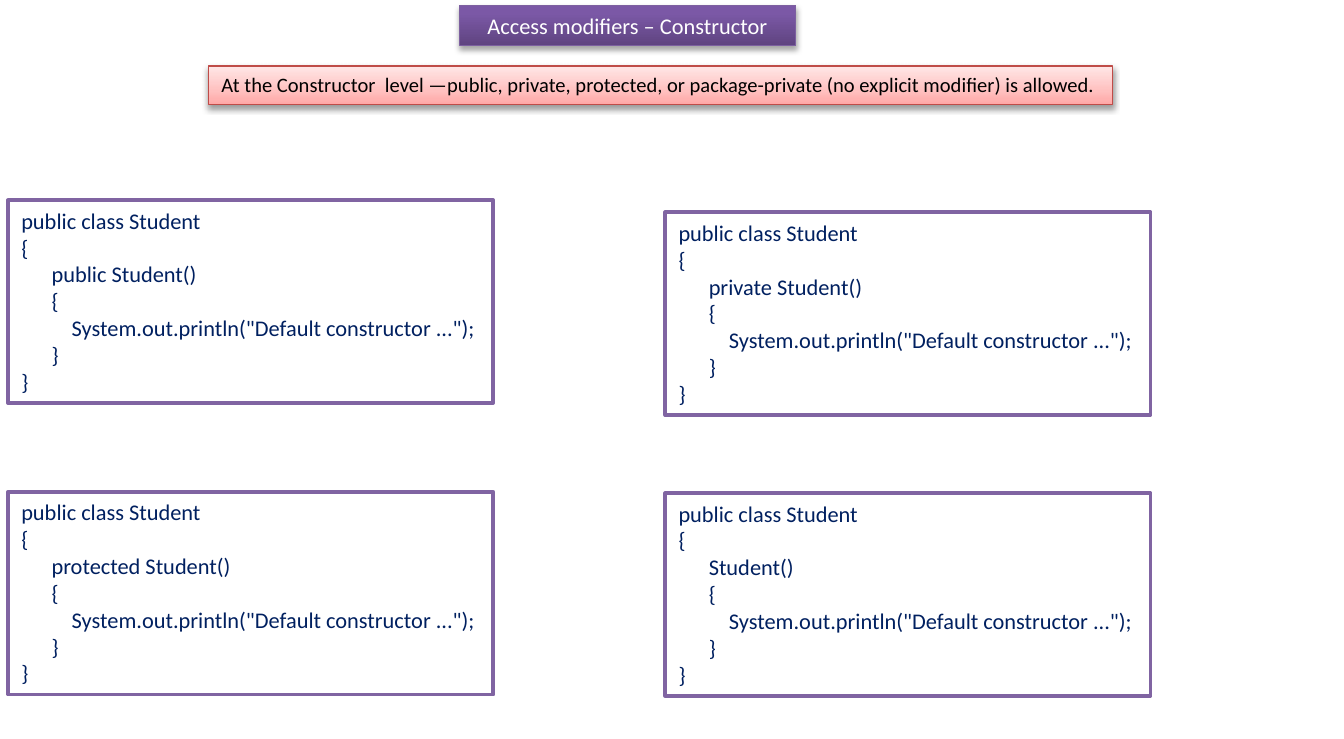
from lxml.etree import SubElement
from pptx import Presentation
from pptx.dml.color import RGBColor
from pptx.enum.shapes import MSO_SHAPE
from pptx.enum.text import MSO_ANCHOR, MSO_AUTO_SIZE, PP_ALIGN
from pptx.oxml.ns import qn
from pptx.util import Inches, Pt

COLORS = {
    "white": "FFFFFF",
    "black": "000000",
    "navy": "002060",
    "purple": "8064A2",
    "title_line": "7D60A0",
    "rule_line": "BF4C48",
}
TITLE_GRADIENT = [(0, "5F4480"), (80, "7B58A6"), (100, "7C57A8")]
RULE_GRADIENT = [(0, "FFA6A5"), (35, "FFC0BF"), (100, "FFE7E7")]
CONSTRUCTORS = [
    ("public Student()", 0.06, 1.49),
    ("private Student()", 4.95, 1.58),
    ("protected Student()", 0.06, 3.66),
    ("Student()", 4.95, 3.67),
]
CODE = """public class Student
{{
      {constructor}
      {{
          System.out.println("Default constructor ...");
      }}
}}"""


class SlideBuilder:
    """Hold the style and the current slide, and add its elements."""

    def __init__(self, slide, font_name="Calibri"):
        self.slide = slide
        self.font_name = font_name

    def color(self, name):
        return RGBColor.from_string(COLORS[name])

    def box(self, text, left, top, width, height, line, line_width, size, text_color):
        shape = self.slide.shapes.add_shape(
            MSO_SHAPE.RECTANGLE, Inches(left), Inches(top), Inches(width), Inches(height)
        )
        shape.shadow.inherit = False
        shape.line.color.rgb = self.color(line)
        shape.line.width = Pt(line_width)
        text_frame = shape.text_frame
        text_frame.text = text
        text_frame.word_wrap = False
        text_frame.auto_size = MSO_AUTO_SIZE.SHAPE_TO_FIT_TEXT
        text_frame.vertical_anchor = MSO_ANCHOR.TOP
        for paragraph in text_frame.paragraphs:
            paragraph.alignment = PP_ALIGN.LEFT
            for run in paragraph.runs:
                run.font.name = self.font_name
                run.font.size = Pt(size)
                run.font.color.rgb = self.color(text_color)
        return shape

    def gradient(self, shape, stops):
        shape.fill.gradient()
        shape.fill.gradient_angle = 90
        stop_list = shape._element.spPr.find(qn("a:gradFill")).find(qn("a:gsLst"))
        stop_list.clear()
        for position, color in stops:
            stop = SubElement(stop_list, qn("a:gs"), pos=str(position * 1000))
            SubElement(stop, qn("a:srgbClr"), val=color)

    def shadow(self, shape, opacity, distance):
        effects = shape._element.spPr.find(qn("a:effectLst"))
        shadow = SubElement(
            effects, qn("a:outerShdw"), blurRad=str(Pt(3.1)), dist=str(Pt(distance)),
            dir="5400000", rotWithShape="0",
        )
        color = SubElement(shadow, qn("a:srgbClr"), val=COLORS["black"])
        SubElement(color, qn("a:alpha"), val=str(opacity * 1000))

    def title(self, text):
        shape = self.box(text, 3.42, 0.04, 2.5, 0.3, "title_line", 0.75, 12, "white")
        shape.text_frame.word_wrap = True
        shape.text_frame.paragraphs[0].alignment = PP_ALIGN.CENTER
        self.gradient(shape, TITLE_GRADIENT)
        self.shadow(shape, 35, 1.8)

    def rule(self, text):
        shape = self.box(text, 1.55, 0.49, 6.73, 0.29, "rule_line", 0.75, 11, "black")
        self.gradient(shape, RULE_GRADIENT)
        self.shadow(shape, 38, 1.6)

    def code(self, constructor, left, top):
        text = CODE.format(constructor=constructor)
        shape = self.box(text, left, top, 3.61, 1.51, "purple", 2, 12, "navy")
        shape.fill.solid()
        shape.fill.fore_color.rgb = self.color("white")


def main():
    presentation = Presentation()
    presentation.slide_width = Inches(10)
    presentation.slide_height = Inches(5.5)
    builder = SlideBuilder(presentation.slides.add_slide(presentation.slide_layouts[6]))
    builder.title("Access modifiers – Constructor")
    builder.rule(
        "At the Constructor  level —public, private, protected, "
        "or package-private (no explicit modifier) is allowed."
    )
    for constructor, left, top in CONSTRUCTORS:
        builder.code(constructor, left, top)
    presentation.save("out.pptx")


if __name__ == "__main__":
    main()
